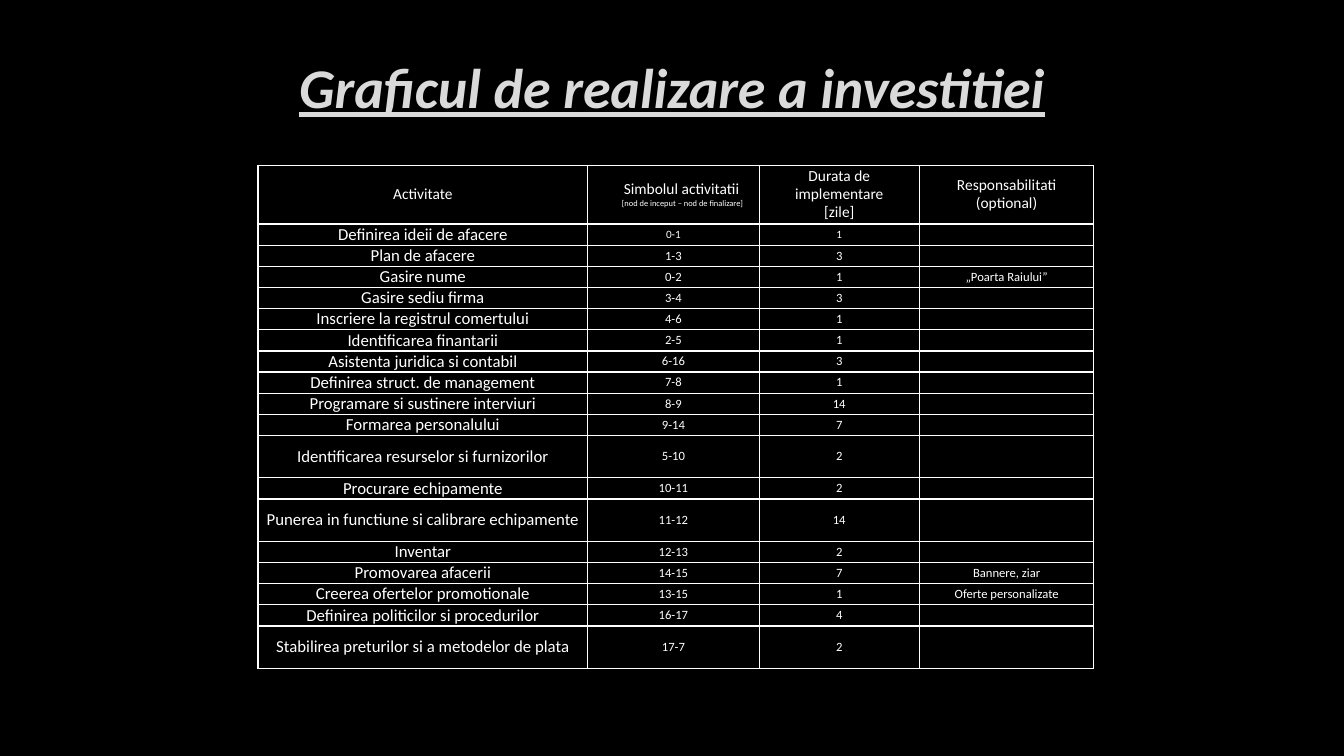
from lxml.etree import SubElement
from pptx import Presentation
from pptx.dml.color import RGBColor
from pptx.enum.text import MSO_ANCHOR, PP_ALIGN
from pptx.oxml.ns import qn
from pptx.util import Emu, Inches, Pt

FONT = "Calibri"
WHITE = "FFFFFF"
COLS = [3.27, 1.7, 1.59, 1.73]
HEADER_H, ROW_H = 0.58, 0.21
HEADER = [
    [("Activitate", 11, 0, 0, 12.5)],
    [("Simbolul activitatii", 11, 0.16, 0, 12.5),
     ("[nod de inceput – nod de finalizare]", 6, 0.18, 0, None)],
    [("Durata de implementare [zile]", 11, 0.2, 0.2, 12.6)],
    [("Responsabilitati (optional)", 11, 0.2, 0.2, 12.6)],
]
ACTIVITIES = [
    ("Definirea ideii de afacere", "0-1", "1", ""),
    ("Plan de afacere", "1-3", "3", ""),
    ("Gasire nume", "0-2", "1", "„Poarta Raiului”"),
    ("Gasire sediu firma", "3-4", "3", ""),
    ("Inscriere la registrul comertului", "4-6", "1", ""),
    ("Identificarea finantarii", "2-5", "1", ""),
    ("Asistenta juridica si contabil", "6-16", "3", ""),
    ("Definirea struct. de management", "7-8", "1", ""),
    ("Programare si sustinere interviuri", "8-9", "14", ""),
    ("Formarea personalului", "9-14", "7", ""),
    ("Identificarea resurselor si furnizorilor", "5-10", "2", ""),
    ("Procurare echipamente", "10-11", "2", ""),
    ("Punerea in functiune si calibrare echipamente", "11-12", "14", ""),
    ("Inventar", "12-13", "2", ""),
    ("Promovarea afacerii", "14-15", "7", "Bannere, ziar"),
    ("Creerea ofertelor promotionale", "13-15", "1", "Oferte personalizate"),
    ("Definirea politicilor si procedurilor", "16-17", "4", ""),
    ("Stabilirea preturilor si a metodelor de plata", "17-7", "2", ""),
]
DOUBLE_ROWS = {"5-10", "11-12", "17-7"}


def color(value):
    """Turn a hex string into a colour."""
    return RGBColor.from_string(value)


def write(p, text, size, fill=WHITE):
    """Fill a centred paragraph and return its run font."""
    p.alignment = PP_ALIGN.CENTER
    r = p.add_run()
    r.text = text
    r.font.name, r.font.size = FONT, Pt(size)
    r.font.color.rgb = color(fill)
    return r.font


def add_title(slide, text, left, top, width, height):
    """Add the underlined slide title."""
    tf = slide.shapes.add_textbox(left, top, width, height).text_frame
    tf.word_wrap = True
    tf.vertical_anchor = MSO_ANCHOR.MIDDLE
    font = write(tf.paragraphs[0], text, 40, "DADADA")
    font.bold = font.italic = font.underline = True


def style_cell(cell):
    """Give a cell white borders, no fill and no margins."""
    cell.margin_left = cell.margin_right = cell.margin_top = cell.margin_bottom = 0
    cell.vertical_anchor = MSO_ANCHOR.MIDDLE
    tcPr = cell._tc.get_or_add_tcPr()
    for side in ("a:lnL", "a:lnR", "a:lnT", "a:lnB"):
        ln = SubElement(tcPr, qn(side), w=str(Pt(1)))
        SubElement(SubElement(ln, qn("a:solidFill")), qn("a:srgbClr"), val=WHITE)
    cell.fill.background()


def fill_header(cell, lines):
    """Write the heading lines with their indents and line spacing."""
    tf = cell.text_frame
    for i, (text, size, left, right, spacing) in enumerate(lines):
        p = tf.add_paragraph() if i else tf.paragraphs[0]
        write(p, text, size)
        pPr = p._p.get_or_add_pPr()
        pPr.set("marL", str(Inches(left)))
        pPr.set("marR", str(Inches(right)))
        if spacing:
            p.line_spacing = Pt(spacing)


def fill_body(cell, text, size):
    """Write one value, or keep an empty cell low."""
    p = cell.text_frame.paragraphs[0]
    if text:
        write(p, text, size)
    else:
        SubElement(p._p, qn("a:endParaRPr"), sz=str(size * 100))


def add_schedule(slide, left, top):
    """Add the table of activities."""
    heights = [HEADER_H] + [ROW_H * (2 if a[1] in DOUBLE_ROWS else 1) for a in ACTIVITIES]
    frame = slide.shapes.add_table(len(heights), len(COLS), left, top,
                                   Inches(sum(COLS)), Inches(sum(heights)))
    table = frame.table
    table.first_row = table.horz_banding = False
    for column, width in zip(table.columns, COLS):
        column.width = Inches(width)
    for row, height in zip(table.rows, heights):
        row.height = Inches(height)
    for cell in table.iter_cells():
        style_cell(cell)
    for c, lines in enumerate(HEADER):
        fill_header(table.cell(0, c), lines)
    for r, activity in enumerate(ACTIVITIES, 1):
        for c, text in enumerate(activity):
            size = 12 if c == 0 else 8 if r == 1 else 9
            fill_body(table.cell(r, c), text, size)


def main():
    """Build the investment schedule slide."""
    prs = Presentation()
    prs.slide_width, prs.slide_height = Inches(13.33), Inches(7.5)
    w, h = prs.slide_width, prs.slide_height
    slide = prs.slides.add_slide(prs.slide_layouts[6])
    slide.background.fill.solid()
    slide.background.fill.fore_color.rgb = color("000000")
    add_title(slide, "Graficul de realizare a investitiei",
              Emu(int(w * 0.075)), Emu(int(h * 0.044)),
              Emu(int(w * 0.85)), Emu(int(h * 0.141)))
    add_schedule(slide, Emu(int(w * 0.192)), Emu(int(h * 0.219)))
    prs.save("out.pptx")


if __name__ == "__main__":
    main()
